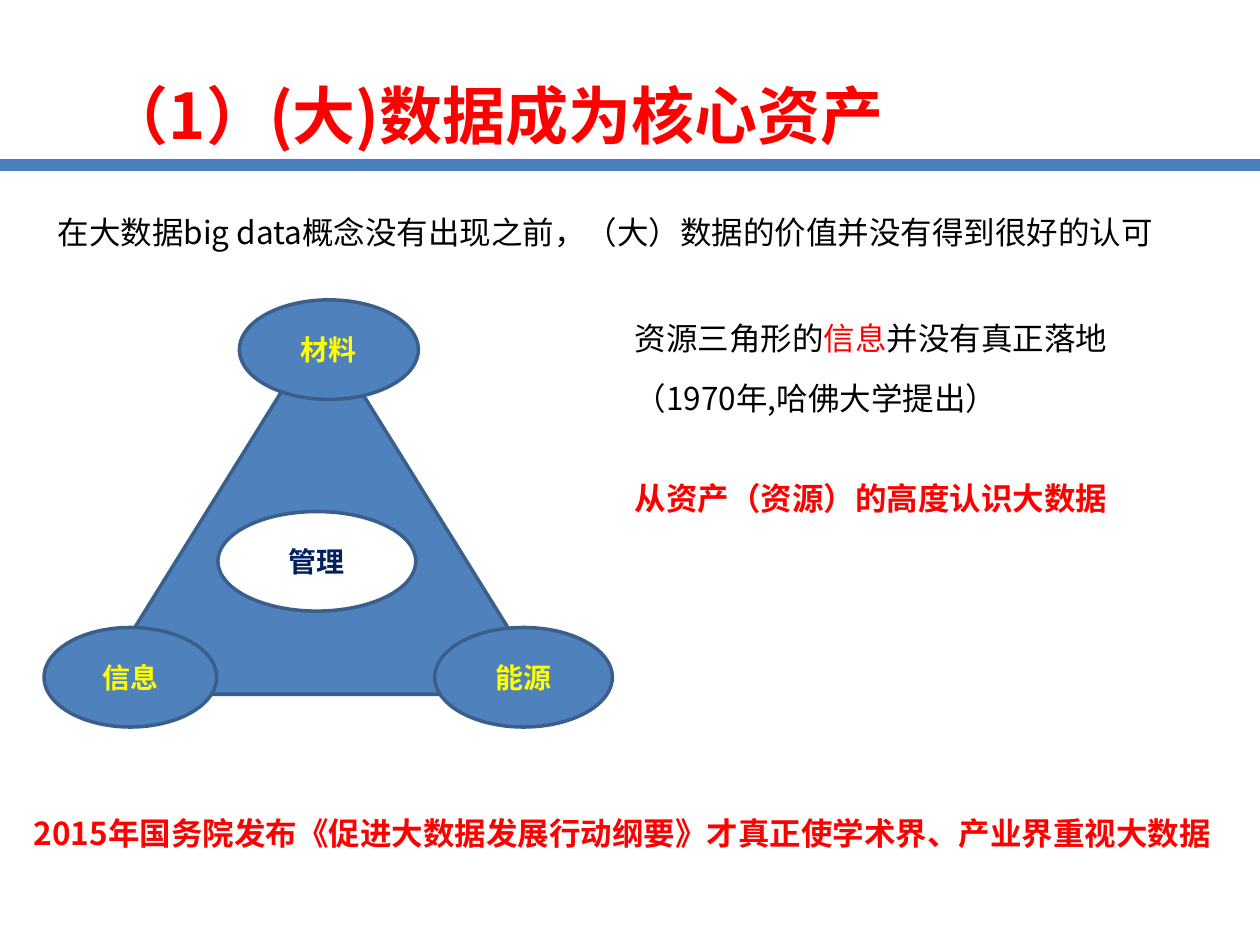
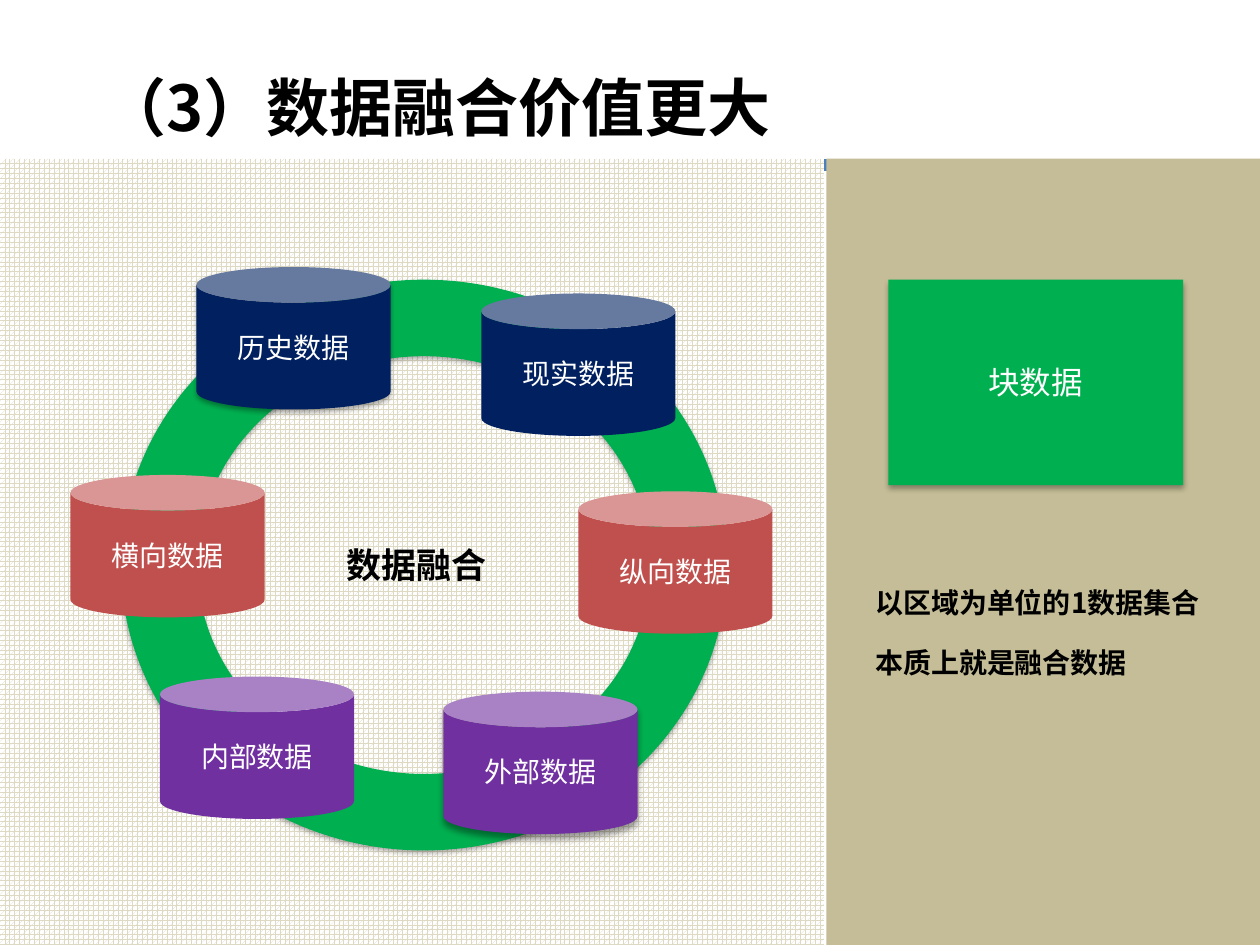
from dataclasses import dataclass

from lxml import etree
from pptx import Presentation
from pptx.dml.color import RGBColor
from pptx.enum.dml import MSO_PATTERN
from pptx.enum.shapes import MSO_CONNECTOR, MSO_SHAPE
from pptx.enum.text import MSO_ANCHOR, MSO_AUTO_SIZE, PP_ALIGN
from pptx.oxml.ns import qn
from pptx.util import Inches, Pt

LEFT, CENTER = PP_ALIGN.LEFT, PP_ALIGN.CENTER
MIDDLE = MSO_ANCHOR.MIDDLE
FIXED = MSO_AUTO_SIZE.NONE
LINE = MSO_CONNECTOR.STRAIGHT
RECT, OVAL, CAN = MSO_SHAPE.RECTANGLE, MSO_SHAPE.OVAL, MSO_SHAPE.CAN
PEAK, RING = MSO_SHAPE.ISOSCELES_TRIANGLE, MSO_SHAPE.DONUT
DOTS = MSO_PATTERN.SPHERE


@dataclass(frozen=True)
class Theme:
    black: str = "000000"
    white: str = "FFFFFF"
    red: str = "FF0000"
    yellow: str = "FFFF00"
    navy: str = "002060"
    blue: str = "4F81BD"
    edge: str = "3A5F8C"
    rule: str = "4B7EBC"
    tan: str = "C4BD97"
    sand: str = "DDD9C3"
    green: str = "00B050"
    brick: str = "C0504D"
    purple: str = "7030A0"
    head: int = 36
    mid: int = 20
    body: int = 18
    label: int = 16
    cjk: str = "Noto Sans CJK SC"
    latin: str = "Calibri"


T = Theme()
SOFT = (35, 3.1, 1.8)
DEEP = (40, 4, 3)
FLAT = (32, 3.5, 2.2)


def rgb(code):
    return RGBColor.from_string(code)


def apply(item, values):
    for name, value in values.items():
        setattr(item, name, value)


def shift(box, x, y, w, h):
    return box[0] + x, box[1] + y, w, h


def write(shape, lines, size, color, bold=False, font=T.cjk, align=LEFT, gap=0, wrap=True):
    frame = shape.text_frame
    apply(frame, {"word_wrap": wrap, "auto_size": FIXED, "vertical_anchor": MIDDLE})
    for i, line in enumerate(lines):
        para = frame.add_paragraph() if i else frame.paragraphs[0]
        apply(para, {"alignment": align, "space_before": Pt(gap if i else 0)})
        for part in [(line, color)] if isinstance(line, str) else line:
            run = para.add_run()
            run.text = part[0]
            apply(run.font, {"name": font, "size": Pt(size), "bold": bold})
            run.font.color.rgb = rgb(part[1])
    for latin in list(shape.element.iter(qn("a:latin"))):
        east = etree.Element(qn("a:ea"), typeface=T.cjk)
        latin.addnext(east)


def note(slide, box, lines, size=T.body, color=T.black, **style):
    write(slide.shapes.add_textbox(*map(Inches, box)), lines, size, color, **style)


def cast(shape, alpha, blur, dist):
    effects = shape.element.spPr.find(qn("a:effectLst"))
    outer = etree.SubElement(effects, qn("a:outerShdw"), blurRad=str(Pt(blur)),
                             dist=str(Pt(dist)), dir="5400000", rotWithShape="0")
    black = etree.SubElement(outer, qn("a:srgbClr"), val=T.black)
    etree.SubElement(black, qn("a:alpha"), val=str(alpha * 1000))


def draw(shapes, kind, box, fill, edge=None, shade=None):
    shape = shapes.add_shape(kind, *map(Inches, box))
    shape.fill.solid()
    shape.fill.fore_color.rgb = rgb(fill)
    if edge:
        shape.line.color.rgb = rgb(edge)
        shape.line.width = Pt(2)
    else:
        shape.line.fill.background()
    shape.shadow.inherit = False
    if shade:
        cast(shape, *shade)
    return shape


def mark(shape, text, color=T.white, size=T.label, bold=False):
    write(shape, [text], size, color, bold, T.latin, CENTER)


def title(slide, box, text, color, align=LEFT):
    head = slide.shapes.title
    places = zip(("left", "top", "width", "height"), map(Inches, box))
    apply(head, dict(places))
    write(head, [text], T.head, color, True, align=align)


def band(slide, layout):
    y = Inches(1.31)
    line = slide.shapes.add_connector(LINE, 0, y, Inches(10), y)
    line.line.color.rgb = rgb(T.rule)
    line.line.width = Pt(7)
    etree.SubElement(line.element.spPr, qn("a:effectLst"))
    layout.shapes.element.append(line.element)


def model(slide, box):
    shapes = slide.shapes.add_group_shape().shapes
    draw(shapes, PEAK, shift(box, 0.39, 0.22, 3.62, 2.91), T.blue, T.edge)
    nodes = [
        ("材料", 1.55, 0, 1.42, T.blue, T.yellow),
        ("信息", 0, 2.6, 1.37, T.blue, T.yellow),
        ("能源", 3.1, 2.6, 1.41, T.blue, T.yellow),
        ("管理", 1.38, 1.68, 1.57, T.white, T.navy),
    ]
    for text, x, y, w, fill, color in nodes:
        node = draw(shapes, OVAL, shift(box, x, y, w, 0.79), fill, T.edge)
        mark(node, text, color, bold=True)


def claims(slide, box):
    lines = [
        [("资源三角形的", T.black), ("信息", T.red), ("并没有真正落地", T.black)],
        "（1970年,哈佛大学提出）",
    ]
    note(slide, shift(box, 0, 0, 3.99, 0.96), lines, gap=13, wrap=False)
    note(slide, shift(box, 0, 1.31, 3.99, 0.4), ["从资产（资源）的高度认识大数据"],
         color=T.red, bold=True, wrap=False)


def asset(slide):
    title(slide, (0.74, 0.49, 7.55, 0.84), "（1）(大)数据成为核心资产", T.red)
    note(slide, (0.36, 1.64, 9.03, 0.4),
         ["在大数据big data概念没有出现之前，（大）数据的价值并没有得到很好的认可"], wrap=False)
    model(slide, (0.35, 2.38))
    claims(slide, (4.94, 2.44))
    note(slide, (0.17, 6.41, 9.66, 0.4),
         ["2015年国务院发布《促进大数据发展行动纲要》才真正使学术界、产业界重视大数据"],
         color=T.red, bold=True, wrap=False)


def cycle(slide, box):
    back = draw(slide.shapes, RECT, box, T.white)
    back.fill.patterned()
    back.fill.pattern = DOTS
    back.fill.fore_color.rgb = rgb(T.sand)
    back.fill.back_color.rgb = rgb(T.white)
    ring = draw(slide.shapes, RING, shift(box, 0.96, 0.96, 4.81, 4.53), T.green, shade=SOFT)
    ring.adjustments[0] = 0.134
    cans = [
        ("历史数据", 1.56, 0.86, T.navy, SOFT),
        ("现实数据", 3.82, 1.07, T.navy, None),
        ("纵向数据", 4.59, 2.64, T.brick, None),
        ("内部数据", 1.27, 4.11, T.purple, None),
        ("外部数据", 3.52, 4.23, T.purple, DEEP),
        ("横向数据", 0.56, 2.51, T.brick, None),
    ]
    for text, x, y, fill, shade in cans:
        mark(draw(slide.shapes, CAN, shift(box, x, y, 1.54, 1.13), fill, shade=shade), text)
    note(slide, shift(box, 2.65, 3, 1.32, 0.44), ["数据融合"], T.mid, bold=True, wrap=False)


def panel(slide, box):
    draw(slide.shapes, RECT, box, T.tan)
    block = draw(slide.shapes, RECT, shift(box, 0.49, 0.96, 2.34, 1.63), T.green, shade=FLAT)
    mark(block, "块数据", size=T.body)
    note(slide, shift(box, 0.29, 3.34, 2.91, 0.84),
         ["以区域为单位的1数据集合", "本质上就是融合数据"], T.label, bold=True, gap=15)


def fusion(slide):
    title(slide, (0.5, 0.42, 5.94, 0.84), "（3）数据融合价值更大", T.black, CENTER)
    panel(slide, (6.56, 1.26, 3.44, 6.24))
    cycle(slide, (0, 1.26, 6.54, 6.24))


def main():
    deck = Presentation()
    apply(deck, {"slide_width": Inches(10), "slide_height": Inches(7.5)})
    layout = deck.slide_layouts[5]
    first, second = (deck.slides.add_slide(layout) for _ in range(2))
    band(first, layout)
    asset(first)
    fusion(second)
    deck.save("out.pptx")


if __name__ == "__main__":
    main()
